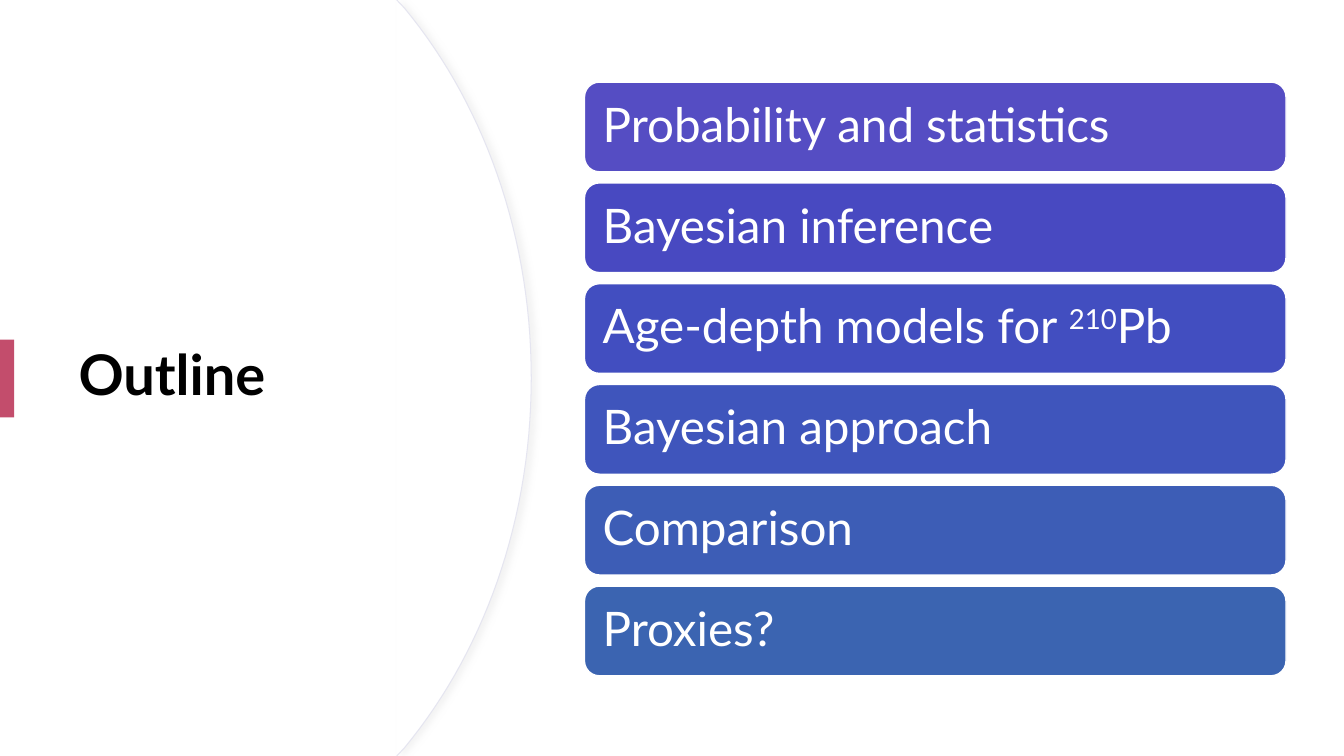
from lxml import etree
from pptx import Presentation
from pptx.dml.color import RGBColor
from pptx.enum.shapes import MSO_SHAPE
from pptx.enum.text import MSO_ANCHOR, PP_ALIGN
from pptx.util import Cm, Pt

RECT, ROUNDED = MSO_SHAPE.RECTANGLE, MSO_SHAPE.ROUNDED_RECTANGLE
MIDDLE, LEFT = MSO_ANCHOR.MIDDLE, PP_ALIGN.LEFT
HEIGHT = 19.05
ARC_SHADOW = """
<a:effectLst xmlns:a="http://schemas.openxmlformats.org/drawingml/2006/main">
  <a:outerShdw blurRad="50800" dist="38100" dir="0" algn="l" rotWithShape="0">
    <a:srgbClr val="D9D9D9"><a:alpha val="30000"/></a:srgbClr>
  </a:outerShdw>
</a:effectLst>"""


def rgb(value):
    return RGBColor.from_string(value)


def write(sp, runs, formats):
    tf = sp.text_frame
    tf.word_wrap = True
    tf.vertical_anchor = MIDDLE
    p = tf.paragraphs[0]
    p.alignment = LEFT
    p.line_spacing = 0.9
    for text, color, baseline in runs:
        r = p.add_run()
        r.text = text
        for name, value in formats.items():
            setattr(r.font, name, value)
        r.font.color.rgb = rgb(color)
        if baseline:
            r._r.get_or_add_rPr().set("baseline", baseline)


prs = Presentation()
prs.slide_width, prs.slide_height = Cm(33.87), Cm(HEIGHT)
s = prs.slides.add_slide(prs.slide_layouts[6])

curve = [(10.19, 0.2), (12.17, 2.59), (13.39, 5.89), (13.39, 9.53)]
weights = [((1 - t) ** 3, 3 * t * (1 - t) ** 2, 3 * t * t * (1 - t), t ** 3)
           for t in (i / 30 for i in range(31))]
upper = [(10, 0)] + [tuple(sum(w * c for w, c in zip(ws, axis)) for axis in zip(*curve))
                     for ws in weights]
lower = [(x, HEIGHT - y) for x, y in reversed(upper[:-1])]
points = [(Cm(x), Cm(y)) for x, y in upper + lower]
builder = s.shapes.build_freeform(*points[0])
builder.add_line_segments(points[1:], close=False)
arc = builder.convert_to_shape()
arc.fill.solid()
arc.fill.fore_color.rgb = rgb("FFFFFF")
arc.line.color.rgb = rgb("E5E5F0")
arc.line.width = Pt(0.75)
arc._element.spPr.append(etree.fromstring(ARC_SHADOW))

title = s.shapes.add_textbox(Cm(1.73), Cm(3.23), Cm(10), Cm(12.57))
write(title, [("Outline", "000000", None)], {"name": "Lato", "size": Pt(40), "bold": True})

accent = s.shapes.add_shape(RECT, 0, Cm(8.56), Cm(0.36), Cm(1.96))
accent.shadow.inherit = False
accent.fill.solid()
accent.fill.fore_color.rgb = rgb("C34D6C")
accent.line.fill.background()

topics = [
    ("554DC3", [("Probability and statistics", None)]),
    ("4849C1", [("Bayesian inference", None)]),
    ("424EC0", [("Age-depth models for ", None), ("210", "30000"), ("Pb", None)]),
    ("3F55BC", [("Bayesian approach", None)]),
    ("3D5DB6", [("Comparison", None)]),
    ("3B64B1", [("Proxies?", None)]),
]
for i, (fill, parts) in enumerate(topics):
    sp = s.shapes.add_shape(ROUNDED, Cm(14.73), Cm(2.07 + 2.54 * i), Cm(17.68), Cm(2.26))
    sp.shadow.inherit = False
    sp.fill.solid()
    sp.fill.fore_color.rgb = rgb(fill)
    sp.line.color.rgb = rgb("FFFFFF")
    sp.line.width = Pt(1)
    for side in ("left", "right"):
        setattr(sp.text_frame, f"margin_{side}", Cm(0.35))
    write(sp, [(text, "FFFFFF", baseline) for text, baseline in parts],
          {"name": "Lato", "size": Pt(34)})

prs.save("out.pptx")
